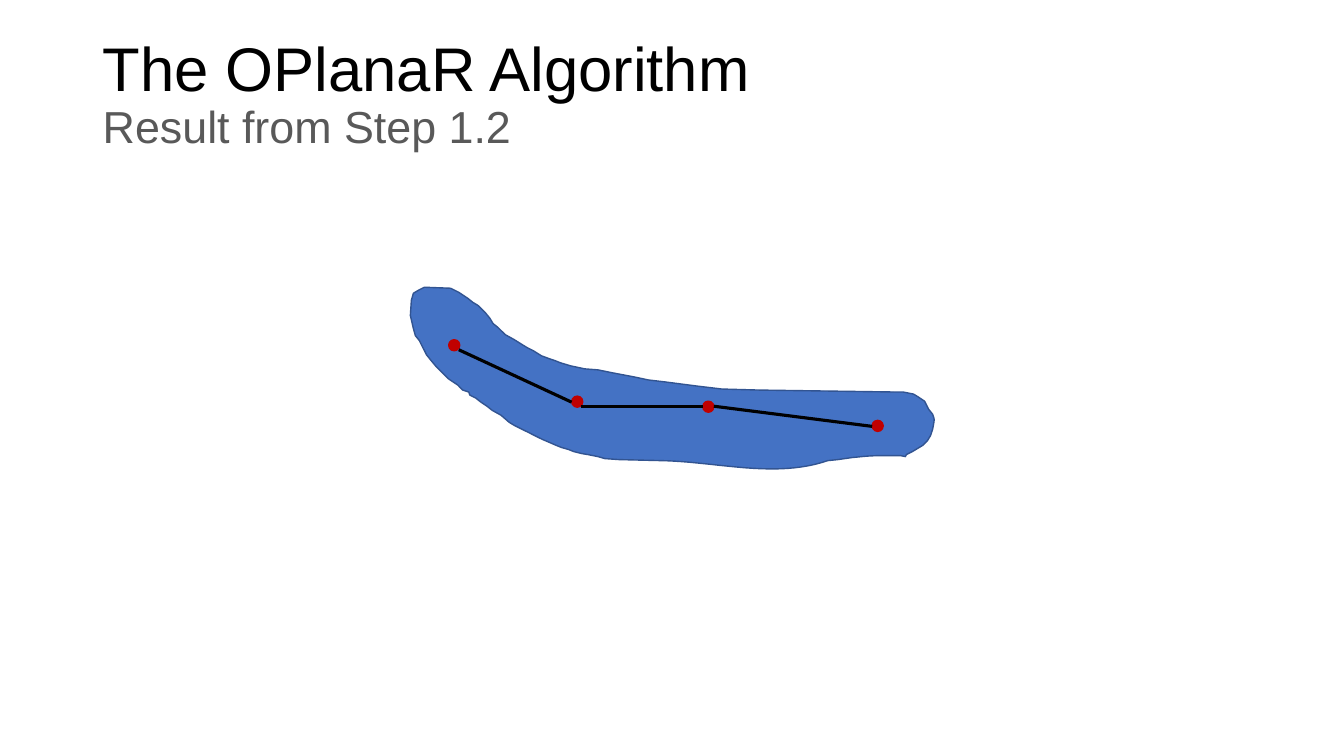
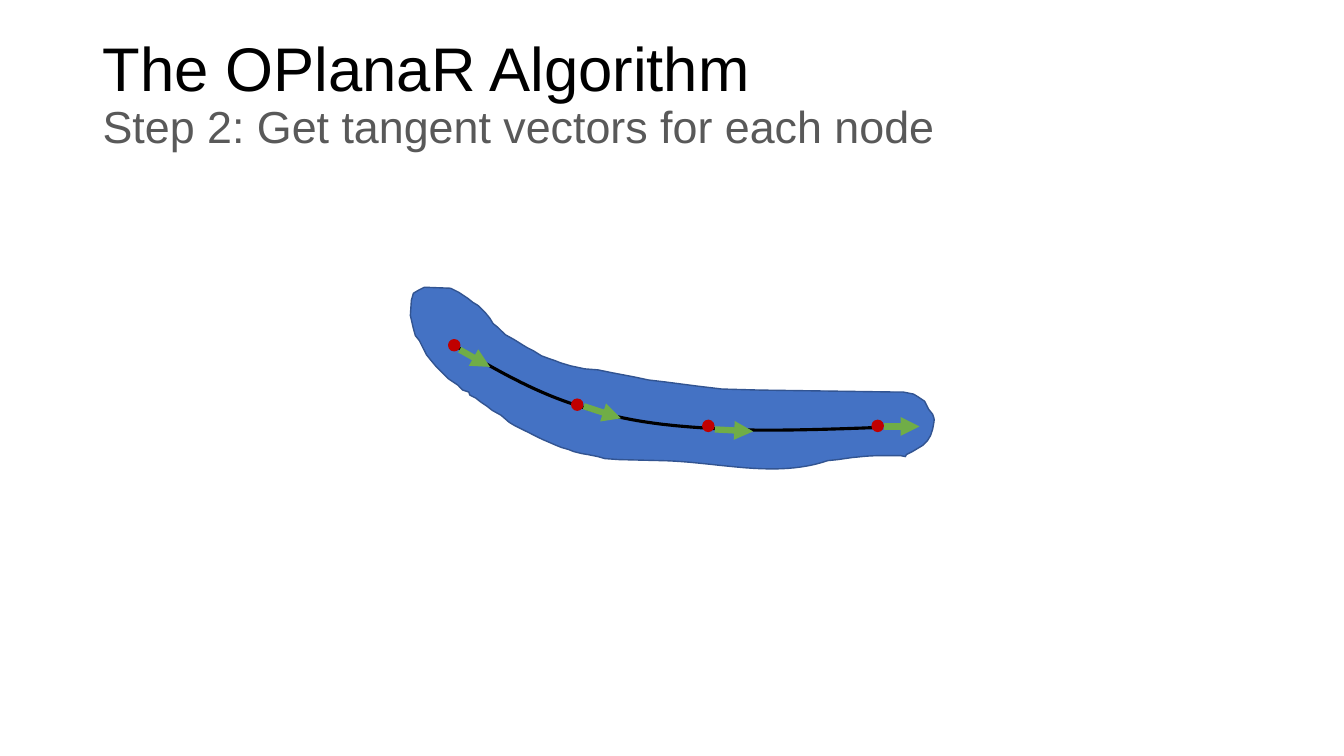
from lxml.etree import SubElement
from pptx import Presentation
from pptx.dml.color import RGBColor
from pptx.enum.shapes import MSO_CONNECTOR, MSO_SHAPE
from pptx.enum.text import MSO_ANCHOR
from pptx.oxml.ns import qn
from pptx.util import Inches, Pt

COLORS = {
    "title": "000000",
    "subtitle": "595959",
    "body": "4472C4",
    "body_edge": "325491",
    "node": "C00000",
    "path": "000000",
    "tangent": "70AD47",
}
FONT = "Arial"
TITLE = "The OPlanaR Algorithm"
TITLE_BOX = (0.92, 0.22, 11.5, 1.45)
FIGURE_ORIGIN = (4.07, 2.85)
NODE_SIZE = 0.11
CURVE_STEPS = 24

BODY_OUTLINE = [
    (4.91, 1.68), (4.86, 1.67), (4.56, 1.67, 4.58, 1.67, 4.38, 1.69),
    (4.24, 1.71), (4.14, 1.72), (3.62, 1.9, 3.04, 1.73, 2.49, 1.72),
    (2.07, 1.71), (1.93, 1.7), (1.86, 1.68), (1.76, 1.66), (1.7, 1.65),
    (1.62, 1.63), (1.57, 1.61), (1.5, 1.59), (1.45, 1.57), (1.38, 1.54),
    (1.31, 1.51), (1.25, 1.48), (1.17, 1.44), (1.09, 1.4), (1.03, 1.37),
    (0.98, 1.34), (0.9, 1.27), (0.81, 1.22), (0.76, 1.18), (0.7, 1.14),
    (0.65, 1.1), (0.59, 1.07), (0.58, 1.04), (0.52, 1.02), (0.47, 0.97),
    (0.38, 0.91), (0.34, 0.87), (0.29, 0.82), (0.25, 0.78), (0.2, 0.72),
    (0.16, 0.67), (0.12, 0.59), (0.09, 0.53), (0.05, 0.48), (0.03, 0.41),
    (0, 0.28), (0.01, 0.13), (0.03, 0.06), (0.08, 0.03), (0.14, 0),
    (0.4, 0.01), (0.48, 0.05), (0.57, 0.11), (0.62, 0.15), (0.67, 0.18),
    (0.71, 0.22), (0.75, 0.26), (0.79, 0.31), (0.82, 0.36), (0.87, 0.4),
    (0.94, 0.47), (1.03, 0.52), (1.11, 0.57), (1.16, 0.6), (1.22, 0.63),
    (1.3, 0.68), (1.38, 0.71), (1.44, 0.73), (1.49, 0.75), (1.59, 0.78),
    (1.73, 0.81), (1.86, 0.82), (2.01, 0.85), (2.22, 0.89), (2.36, 0.92),
    (2.53, 0.94), (2.84, 0.98), (3.09, 1.01), (3.46, 1.02), (4.83, 1.04),
    (4.89, 1.04), (4.99, 1.06), (5.04, 1.09), (5.1, 1.13), (5.14, 1.21),
    (5.18, 1.26), (5.2, 1.32, 5.2, 1.3, 5.18, 1.41), (5.16, 1.47),
    (5.13, 1.52), (5.08, 1.57), (5.03, 1.6), (4.98, 1.63), (4.92, 1.66),
]
SMOOTH_PATH = [
    (0.46, 0.59),
    (0.85, 0.82, 1.25, 1.05, 1.68, 1.18),
    (2.1, 1.32, 2.48, 1.37, 2.98, 1.4),
    (3.48, 1.44, 4.37, 1.4, 4.67, 1.39),
]
ROUGH_NODES = [(0.38, 0.52), (1.6, 1.08), (2.9, 1.13), (4.58, 1.32)]
SMOOTH_NODES = [(0.38, 0.52), (1.6, 1.11), (2.9, 1.32), (4.58, 1.32)]
ROUGH_SEGMENTS = [
    (0.48, 0.62, 1.6, 1.14),
    (1.69, 1.18, 2.9, 1.18),
    (3.01, 1.18, 4.58, 1.38),
]
TANGENTS = [
    (0.49, 0.62, 0.79, 0.79),
    (1.72, 1.18, 2.09, 1.3),
    (3.02, 1.41, 3.4, 1.43),
    (4.7, 1.38, 5.05, 1.38),
]


def rgb(name):
    """Return the named colour."""
    return RGBColor.from_string(COLORS[name])


def add_text(paragraph, text, *, size, color):
    """Append a formatted run to a paragraph."""
    run = paragraph.add_run()
    run.text = text
    run.font.name = FONT
    run.font.size = Pt(size)
    run.font.color.rgb = rgb(color)


def add_title(slide, box, subtitle):
    """Place the title with its subtitle on the next line."""
    frame = slide.shapes.add_textbox(*map(Inches, box)).text_frame
    frame.word_wrap = True
    frame.vertical_anchor = MSO_ANCHOR.MIDDLE
    paragraph = frame.paragraphs[0]
    paragraph.line_spacing = 0.9
    add_text(paragraph, TITLE, size=44, color="title")
    paragraph.add_line_break()
    add_text(paragraph, subtitle, size=32, color="subtitle")


def trace(steps):
    """Turn points and cubic Bezier steps into a list of points."""
    points = [steps[0]]
    for step in steps[1:]:
        if len(step) == 2:
            points.append(step)
            continue
        corners = [points[-1], step[:2], step[2:4], step[4:]]
        for index in range(1, CURVE_STEPS + 1):
            t = index / CURVE_STEPS
            weights = ((1 - t) ** 3, 3 * t * (1 - t) ** 2, 3 * t * t * (1 - t), t ** 3)
            points.append(tuple(
                sum(weight * corner[axis] for weight, corner in zip(weights, corners))
                for axis in (0, 1)
            ))
    return points


def style_shape(shape, *, line, width, fill=None):
    """Set fill and outline, and remove the shadow."""
    shape.shadow.inherit = False
    if fill:
        shape.fill.solid()
        shape.fill.fore_color.rgb = rgb(fill)
    else:
        shape.fill.background()
    shape.line.color.rgb = rgb(line)
    shape.line.width = Pt(width)


def add_outline(slide, origin, steps, *, closed, **style):
    """Draw a freeform measured from the origin."""
    start, *rest = [(Inches(x), Inches(y)) for x, y in trace(steps)]
    builder = slide.shapes.build_freeform(*start)
    builder.add_line_segments(rest, close=closed)
    style_shape(builder.convert_to_shape(*map(Inches, origin)), **style)


def add_nodes(slide, origin, nodes):
    """Draw the skeleton nodes."""
    left, top = origin
    for x, y in nodes:
        node = slide.shapes.add_shape(
            MSO_SHAPE.OVAL, Inches(left + x), Inches(top + y),
            Inches(NODE_SIZE), Inches(NODE_SIZE))
        style_shape(node, fill="node", line="node", width=1)


def add_lines(slide, origin, lines, *, color, width, arrow=False):
    """Draw straight lines, with an arrowhead at the end on request."""
    left, top = origin
    for x1, y1, x2, y2 in lines:
        connector = slide.shapes.add_connector(
            MSO_CONNECTOR.STRAIGHT, Inches(left + x1), Inches(top + y1),
            Inches(left + x2), Inches(top + y2))
        connector.line.color.rgb = rgb(color)
        connector.line.width = Pt(width)
        if arrow:
            SubElement(connector.line._get_or_add_ln(), qn("a:tailEnd"), type="triangle")
        SubElement(connector._element.spPr, qn("a:effectLst"))


def add_body(slide, origin):
    """Draw the blue body around the skeleton."""
    add_outline(slide, origin, BODY_OUTLINE, closed=True,
                fill="body", line="body_edge", width=1)


def add_rough_skeleton(slide, origin):
    """Draw the body with nodes joined by straight segments."""
    add_body(slide, origin)
    add_nodes(slide, origin, ROUGH_NODES)
    add_lines(slide, origin, ROUGH_SEGMENTS, color="path", width=2.25)


def add_tangent_skeleton(slide, origin):
    """Draw the body with a smooth path and a tangent at each node."""
    add_body(slide, origin)
    add_outline(slide, origin, SMOOTH_PATH, closed=False, line="path", width=2.25)
    add_nodes(slide, origin, SMOOTH_NODES)
    add_lines(slide, origin, TANGENTS, color="tangent", width=4.5, arrow=True)


def main():
    """Build and save the presentation."""
    presentation = Presentation()
    presentation.slide_width = Inches(13.33)
    presentation.slide_height = Inches(7.5)
    steps = [
        ("Result from Step 1.2", add_rough_skeleton),
        ("Step 2: Get tangent vectors for each node", add_tangent_skeleton),
    ]
    for subtitle, add_figure in steps:
        slide = presentation.slides.add_slide(presentation.slide_layouts[6])
        add_title(slide, TITLE_BOX, subtitle)
        add_figure(slide, FIGURE_ORIGIN)
    presentation.save("out.pptx")


if __name__ == "__main__":
    main()
